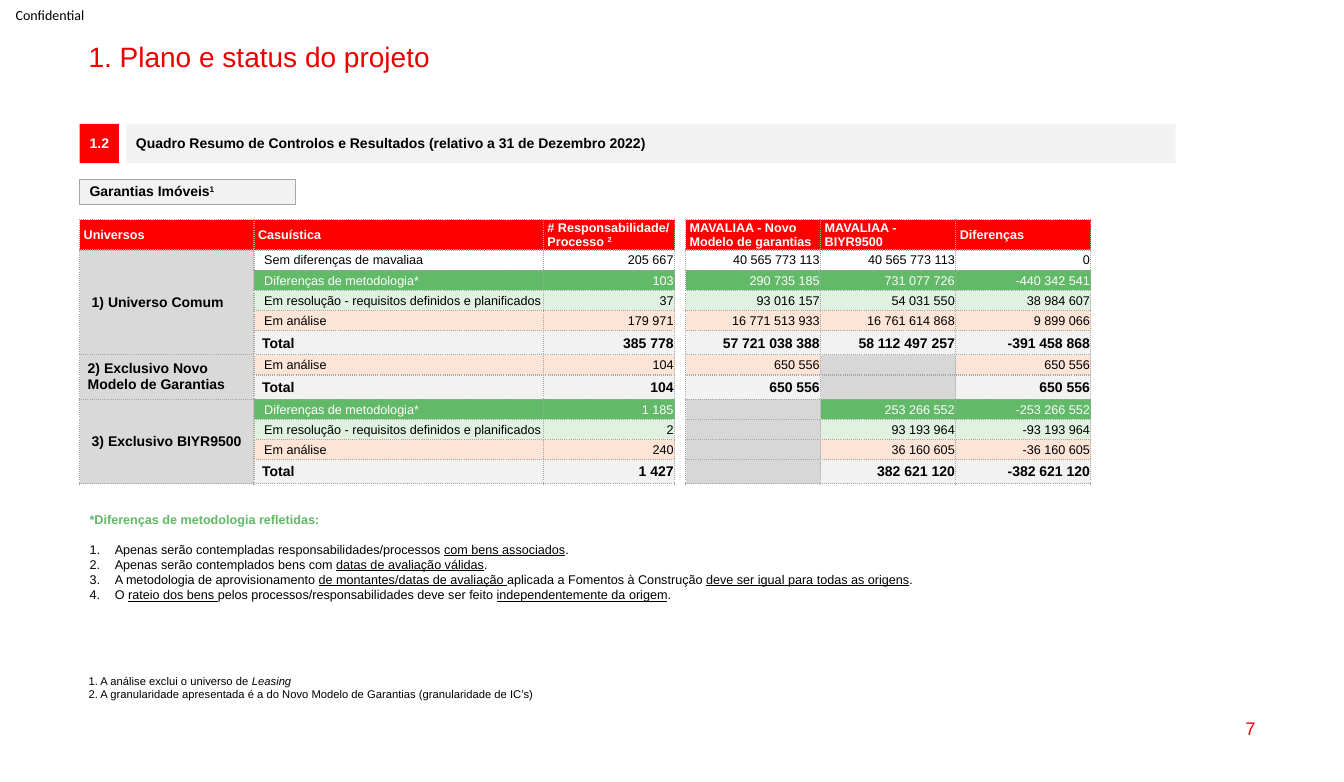
"""Build the slide with the summary of controls and results."""
import pptx
import pptx.dml.color
import pptx.enum.shapes
import pptx.enum.text
import pptx.util
from lxml import etree

Inches, Pt = pptx.util.Inches, pptx.util.Pt
ALIGN, ANCHOR = pptx.enum.text.PP_ALIGN, pptx.enum.text.MSO_ANCHOR
RED, BLACK, WHITE, GREEN = "FF0000", "000000", "FFFFFF", "62B967"
PALE, EDGE, EMPTY, GROUP = "F2F2F2", "A6A6A6", "D7D7D7", "D9D9D9"
BRAND = "EB0000"

HEADS = [
    [[("Universos", "")]],
    [[("Casuística", "")]],
    [[("# Responsabilidade/", "")], [("Processo ", ""), ("2", "sup")]],
    None,
    [[("MAVALIAA - Novo Modelo de garantias", "")]],
    [[("MAVALIAA - BIYR9500", "")]],
    [[("Diferenças", "")]],
]
METHOD = "Diferenças de metodologia*"
PLAN = "Em resolução - requisitos definidos e planificados"
STUDY = "Em análise"
SAME = "Sem diferenças de mavaliaa"
TINTS = {SAME: None, METHOD: GREEN, PLAN: "E0F1E1", STUDY: "FCE4D6", "Total": PALE}
GROUPS = [
    (["1) Universo Comum"], 0.12, [
        (SAME, "205 667", "40 565 773 113", "40 565 773 113", "0"),
        (METHOD, "103", "290 735 185", "731 077 726", "-440 342 541"),
        (PLAN, "37", "93 016 157", "54 031 550", "38 984 607"),
        (STUDY, "179 971", "16 771 513 933", "16 761 614 868", "9 899 066"),
        ("Total", "385 778", "57 721 038 388", "58 112 497 257", "-391 458 868"),
    ]),
    (["2) Exclusivo Novo", "Modelo de Garantias"], 0.08, [
        (STUDY, "104", "650 556", None, "650 556"),
        ("Total", "104", "650 556", None, "650 556"),
    ]),
    (["3) Exclusivo BIYR9500"], 0.12, [
        (METHOD, "1 185", None, "253 266 552", "-253 266 552"),
        (PLAN, "2", None, "93 193 964", "-93 193 964"),
        (STUDY, "240", None, "36 160 605", "-36 160 605"),
        ("Total", "1 427", None, "382 621 120", "-382 621 120"),
    ]),
]
WIDTHS = [1.73, 2.87, 1.3, 0.11, 1.34, 1.34, 1.34]
GAP = 3

RULES = [
    [("Apenas serão contempladas responsabilidades/processos ", ""),
     ("com bens associados", "u"), (".", "")],
    [("Apenas serão contemplados bens com ", ""),
     ("datas de avaliação válidas", "u"), (".", "")],
    [("A metodologia de aprovisionamento ", ""),
     ("de montantes/datas de avaliação ", "u"),
     ("aplicada a Fomentos à Construção ", ""),
     ("deve ser igual para todas as origens", "u"), (".", "")],
    [("O ", ""), ("rateio dos bens ", "u"),
     ("pelos processos/responsabilidades deve ser feito ", ""),
     ("independentemente da origem", "u"), (".", "")],
]
NOTES = [
    [("1. A análise exclui o universo de ", ""), ("Leasing", "i")],
    [("2. A granularidade apresentada é a do Novo Modelo de Garantias"
      " (granularidade de IC’s)", "")],
]


def paint(form, shade):
    form.rgb = pptx.dml.color.RGBColor.from_string(shade)


def tag(owner, name, **attrs):
    return etree.SubElement(owner, pptx.oxml.ns.qn("a:" + name), attrs)


def write(para, runs, size, shade, bold=False, face="Arial"):
    for text, style in runs:
        run = para.add_run()
        run.text = text
        font = run.font
        font.name, font.size, font.bold = face, Pt(size), bold
        paint(font.color, shade)
        if style == "u":
            font.underline = True
        elif style == "i":
            font.italic = True
        elif style == "sup":
            font._element.set("baseline", "30000")


def fill_text(frame, paras, *look, align=ALIGN.LEFT, lead=None):
    for num, runs in enumerate(paras):
        para = frame.add_paragraph() if num else frame.paragraphs[0]
        para.alignment = align
        if lead:
            para.line_spacing = lead
        write(para, runs, *look)


def add_text(slide, spot, paras, *look, anchor=ANCHOR.TOP, wrap=True, **more):
    frame = slide.shapes.add_textbox(*map(Inches, spot)).text_frame
    frame.word_wrap, frame.vertical_anchor = wrap, anchor
    fill_text(frame, paras, *look, **more)
    return frame


def add_bar(slide, spot, fill, runs, shade, align=ALIGN.LEFT, edge=None):
    bar = slide.shapes.add_shape(
        pptx.enum.shapes.MSO_SHAPE.RECTANGLE, *map(Inches, spot))
    bar.shadow.inherit = False
    bar.fill.solid()
    paint(bar.fill.fore_color, fill)
    if edge:
        paint(bar.line.color, edge)
        bar.line.width = Pt(0.75)
    else:
        bar.line.fill.background()
    bar.text_frame.vertical_anchor = ANCHOR.MIDDLE
    bar.text_frame.word_wrap = True
    fill_text(bar.text_frame, [runs], 10, shade, True, align=align, lead=0.9)


def style_cell(cell, fill, pads, sides="LRTB"):
    props = cell._tc.get_or_add_tcPr()
    for side in "LRTB":
        line = tag(props, "ln" + side, w="12700")
        if side in sides:
            tag(tag(line, "solidFill"), "srgbClr", val=EDGE)
            tag(line, "prstDash", val="sysDot")
        else:
            tag(line, "noFill")
    if fill:
        cell.fill.solid()
        paint(cell.fill.fore_color, fill)
    else:
        cell.fill.background()
    cell.vertical_anchor = ANCHOR.MIDDLE
    cell.margin_left, cell.margin_top, cell.margin_right, cell.margin_bottom = map(Inches, pads)


def blank_cell(cell, fill, sides="LRTB"):
    style_cell(cell, fill, (0, 0, 0, 0), sides)
    tag(cell.text_frame.paragraphs[0]._p, "endParaRPr", sz="800")


def add_grid(slide):
    rows = [row for group in GROUPS for row in group[2]]
    highs = [0.26] + [0.24 if row[0] == "Total" else 0.2 for row in rows]
    grid = slide.shapes.add_table(
        len(highs), len(WIDTHS), Inches(0.79), Inches(2.18),
        Inches(sum(WIDTHS)), Inches(sum(highs))).table
    grid.first_row = grid.horz_banding = False
    for col, width in zip(grid.columns, WIDTHS):
        col.width = Inches(width)
    for row, high in zip(grid.rows, highs):
        row.height = Inches(high)
    for num in range(len(highs)):
        blank_cell(grid.cell(num, GAP), None, "LR")
    for num, paras in enumerate(HEADS):
        if paras:
            cell = grid.cell(0, num)
            style_cell(cell, RED, (0.04, 0, 0.04, 0))
            fill_text(cell.text_frame, paras, 9, WHITE, True)
    top = 1
    for names, pad, body in GROUPS:
        first, last = grid.cell(top, 0), grid.cell(top + len(body) - 1, 0)
        for num in range(len(body)):
            style_cell(grid.cell(top + num, 0), GROUP, (pad, 0, 0.04, 0))
        first.merge(last)
        fill_text(first.text_frame, [[(name, "")] for name in names], 10, BLACK, True)
        for num, (label, *values) in enumerate(body, top):
            total = label == "Total"
            look = (10 if total else 9, WHITE if label == METHOD else BLACK, total)
            for col, text in zip((1, 2, 4, 5, 6), [label] + values):
                cell = grid.cell(num, col)
                if text is None:
                    blank_cell(cell, EMPTY)
                    continue
                left = 0.01 if col > 1 else 0.08 if total else 0.1
                style_cell(cell, TINTS[label], (left, 0.01, 0.01, 0))
                fill_text(cell.text_frame, [[(text, "")]], *look,
                          align=ALIGN.RIGHT if col > 1 else ALIGN.LEFT)
        top += len(body)


def add_rules(slide):
    frame = add_text(slide, (0.79, 5.03, 10.55, 1.5),
                     [[("*Diferenças de metodologia refletidas:", "")]], 9, GREEN, True)
    frame.paragraphs[0].space_after = Pt(10.4)
    for runs in RULES:
        para = frame.add_paragraph()
        props = para._p.get_or_add_pPr()
        props.set("marL", str(Inches(0.25)))
        props.set("indent", str(-Inches(0.25)))
        tag(props, "buFont", typeface="+mj-lt")
        tag(props, "buAutoNum", type="arabicPeriod")
        write(para, runs, 9, BLACK)


def main():
    deck = pptx.Presentation()
    deck.slide_width, deck.slide_height = Inches(13.33), Inches(7.76)
    slide = deck.slides.add_slide(deck.slide_layouts[6])
    mark = add_text(slide, (0, 0, 0.99, 0.29), [[("Confidential", "")]], 10, BLACK, False,
                    "Calibri", anchor=ANCHOR.MIDDLE, align=ALIGN.CENTER)
    mark.margin_left = mark.margin_right = mark.margin_top = mark.margin_bottom = 0
    add_text(slide, (0.78, 0.38, 11.77, 0.34), [[("1. Plano e status do projeto", "")]],
             20, BRAND, lead=0.9)
    add_text(slide, (9.55, 7.02, 3, 0.41), [[("7", "")]], 13, BRAND,
             anchor=ANCHOR.MIDDLE, align=ALIGN.RIGHT)
    add_bar(slide, (0.79, 1.23, 0.39, 0.39), RED, [("1.2", "")], WHITE, ALIGN.CENTER)
    add_bar(slide, (1.25, 1.23, 10.41, 0.39), PALE,
            [("Quadro Resumo de Controlos e Resultados (relativo a 31 de Dezembro 2022)", "")],
            BLACK)
    add_bar(slide, (0.79, 1.78, 2.14, 0.25), PALE,
            [("Garantias Imóveis", ""), ("1", "sup")], BLACK, edge=EDGE)
    add_grid(slide)
    add_rules(slide)
    add_text(slide, (0.78, 6.64, 4.75, 0.37), NOTES, 8, BLACK, wrap=False)
    deck.save("out.pptx")


if __name__ == "__main__":
    main()
